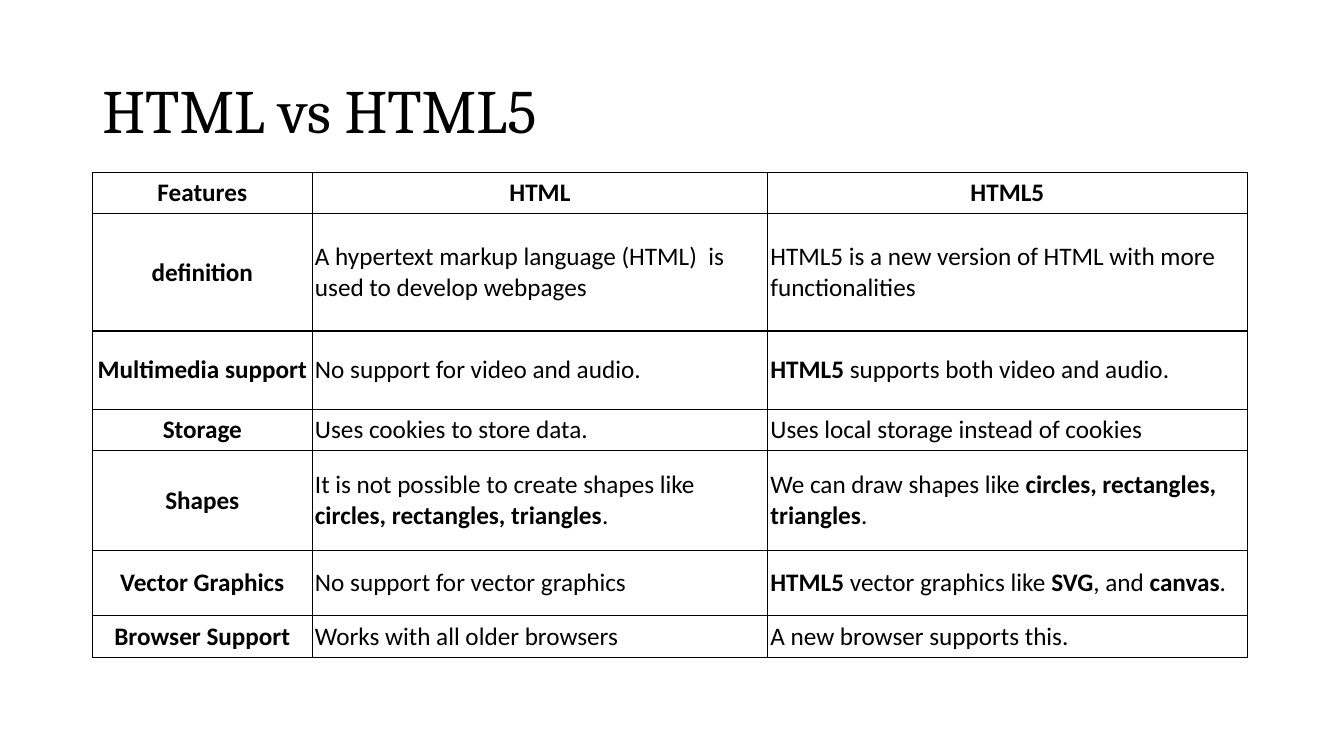
import dataclasses

import lxml.etree
import pptx
import pptx.dml.color
import pptx.enum.text
import pptx.oxml.ns
import pptx.util

Cm, Pt = pptx.util.Cm, pptx.util.Pt
Align = pptx.enum.text.PP_ALIGN
MIDDLE = pptx.enum.text.MSO_ANCHOR.MIDDLE


@dataclasses.dataclass(frozen=True)
class Theme:
    ink: str = "000000"
    paper: str = "FFFFFF"
    head: str = "Cambria"
    body: str = "Calibri"
    big: int = 44
    small: int = 18
    line: int = 1


THEME = Theme()
COLS = (5.54, 11.48, 12.09)
HEIGHTS = (1.04, 2.95, 1.98, 1.04, 2.51, 1.65, 1.04)
# Asterisks enclose bold words.
ROWS = (
    ("Features", "HTML", "HTML5"),
    ("definition",
     "A hypertext markup language (HTML)  is used to develop webpages",
     "HTML5 is a new version of HTML with more functionalities"),
    ("Multimedia support", "No support for video and audio.",
     "*HTML5* supports both video and audio."),
    ("Storage", "Uses cookies to store data.",
     "Uses local storage instead of cookies"),
    ("Shapes",
     "It is not possible to create shapes like *circles, rectangles, triangles*.",
     "We can draw shapes like *circles, rectangles, triangles*."),
    ("Vector Graphics", "No support for vector graphics",
     "*HTML5 *vector graphics like* SVG*, and *canvas*."),
    ("Browser Support", "Works with all older browsers",
     "A new browser supports this."),
)


def color(code):
    return pptx.dml.color.RGBColor.from_string(code)


def write(para, text, font, size, bold=False):
    """Add runs, with the parts between asterisks in bold."""
    for i, part in enumerate(text.split("*")):
        if part:
            run = para.add_run()
            run.text = part
            run.font.name = font
            run.font.size = Pt(size)
            run.font.bold = bold or i % 2 == 1
            run.font.color.rgb = color(THEME.ink)


def border(cell):
    props = cell._tc.get_or_add_tcPr()
    qn = pptx.oxml.ns.qn
    for side in ("a:lnL", "a:lnR", "a:lnT", "a:lnB"):
        line = lxml.etree.SubElement(props, qn(side), w=str(Pt(THEME.line)))
        fill = lxml.etree.SubElement(line, qn("a:solidFill"))
        lxml.etree.SubElement(fill, qn("a:srgbClr"), val=THEME.ink)


def title(slide, box, text):
    frame = slide.shapes.add_textbox(*box).text_frame
    frame.word_wrap = True
    frame.vertical_anchor = MIDDLE
    para = frame.paragraphs[0]
    para.line_spacing = 0.9
    write(para, text, THEME.head, THEME.big)


def style(cell):
    cell.margin_left = cell.margin_right = Cm(0.07)
    cell.margin_top = cell.margin_bottom = Cm(0.03)
    cell.vertical_anchor = MIDDLE
    border(cell)
    cell.fill.solid()
    cell.fill.fore_color.rgb = color(THEME.paper)


def grid(slide, box):
    """Place the table, sharing out the box by column and row weights."""
    left, top, width, height = box
    table = slide.shapes.add_table(len(ROWS), len(COLS), *box).table
    table.first_row = table.horz_banding = False
    for col, part in zip(table.columns, COLS):
        col.width = int(width * part / sum(COLS))
    for row, part in zip(table.rows, HEIGHTS):
        row.height = int(height * part / sum(HEIGHTS))
    for r, texts in enumerate(ROWS):
        for c, text in enumerate(texts):
            cell = table.cell(r, c)
            style(cell)
            label = r == 0 or c == 0
            para = cell.text_frame.paragraphs[0]
            para.alignment = Align.CENTER if label else Align.LEFT
            write(para, text, THEME.body, THEME.small, label)


def main():
    deck = pptx.Presentation()
    deck.slide_width, deck.slide_height = Cm(33.87), Cm(19.05)
    slide = deck.slides.add_slide(deck.slide_layouts[6])
    title(slide, (Cm(2.33), Cm(1.01), Cm(29.21), Cm(3.68)), "HTML vs HTML5")
    grid(slide, (Cm(2.33), Cm(4.35), Cm(29.1), Cm(12.21)))
    deck.save("out.pptx")


if __name__ == "__main__":
    main()
